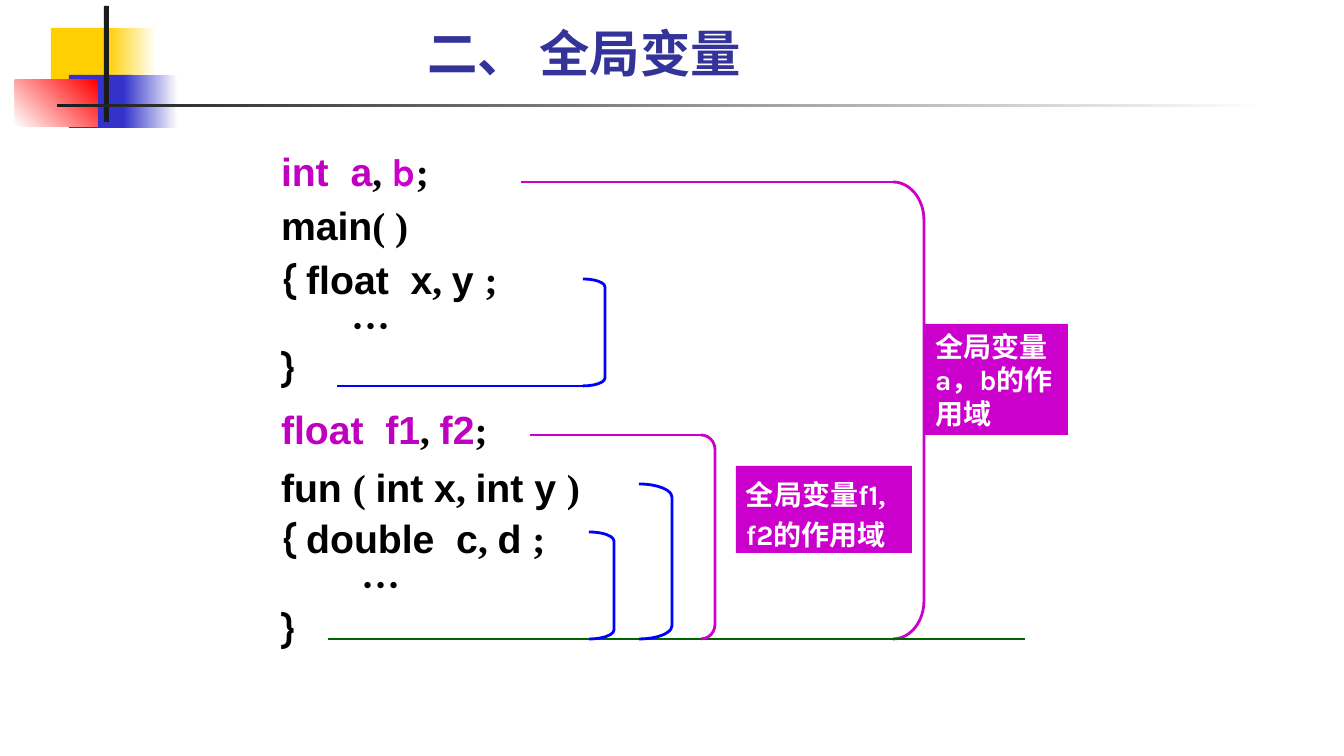
from lxml import etree
from pptx import Presentation
from pptx import util as u
from pptx.dml.color import RGBColor
from pptx.enum import shapes as sh, text as tx
from pptx.oxml.ns import qn

PX = 914400 / 100.8
INK = {"gold": "FFCF01", "blue": "3333CC", "red": "FF0000", "dark": "1C1C1C",
       "white": "FFFFFF", "head": "333399", "black": "000000", "plum": "C000C0",
       "pink": "CC00CC", "green": "006600", "vivid": "0000FF"}
A, T, K, N = "Arial", "Times New Roman", "Karla", "Noto Sans CJK SC"
CODE = [
    (29, 0.95, 0, [("int  a", A, "plum"), (", ", T), ("b", K, "pink"), (";", T)]),
    (29, 0.95, 6.7, [("main", A), ("( )", T)]),
    (29, 0.95, 6.7, [("{ ", K), ("float  x", A), (", ", T), ("y ", A), (";", T)]),
    (99, 0.95, 0, [("···", T)]),
    (29, 0.9, 0, [("}", K)]),
    (29, 1.1, 6.7, [("float  f1", A, "plum"), (", ", T), ("f2", A, "plum"), (";", T)]),
    (29, 1.1, 5, [("fun ", A), ("( ", T), ("int x", A), (", ", T), ("int y ", A), (")", T)]),
    (29, 0.95, 5, [("{ ", K), ("double  c", A), (", ", T), ("d ", A), (";", T)]),
    (109, 0.95, 0, [("···", T)]),
    (29, 0.95, 0, [("}", K)]),
]


def px(n):
    """Turn pixels into EMU."""
    return u.Emu(round(n * PX))


def rgb(name):
    """Look up a colour."""
    return RGBColor.from_string(INK[name])


def place(item, box):
    """Move an item to a box of left, top, width, height."""
    item.left, item.top, item.width, item.height = map(px, box)


def style(run, size, face, ink):
    """Format a bold run, with one face for all scripts."""
    font = run.font
    font.size, font.bold, font.name = u.Pt(size), True, face
    font.color.rgb = rgb(ink)
    etree.SubElement(run._r.rPr, qn("a:ea")).set("typeface", face)


def write(para, parts, size, base):
    """Add runs of (text, face, ink) to a paragraph."""
    for word, face, *ink in parts:
        run = para.add_run()
        run.text = word
        style(run, size, face, ink[0] if ink else base)


def frame(item, anchor):
    """Set wrapping, margins and anchor of a text frame."""
    tf = item.text_frame
    tf.word_wrap, tf.auto_size = True, tx.MSO_AUTO_SIZE.NONE
    tf.vertical_anchor = anchor
    tf.margin_left = tf.margin_right = px(10)
    tf.margin_top = tf.margin_bottom = px(5)
    return tf


def block(slide, box, ink, end=None, angle=0):
    """Draw a rectangle, plain or fading from ink to end."""
    item = slide.shapes.add_shape(sh.MSO_SHAPE.RECTANGLE, *map(px, box))
    item.shadow.inherit = False
    item.line.fill.background()
    if end:
        item.fill.gradient()
        item.fill.gradient_angle = angle
        for stop, tone in zip(item.fill.gradient_stops, (ink, end)):
            stop.color.rgb = rgb(tone)
    else:
        item.fill.solid()
        item.fill.fore_color.rgb = rgb(ink)
    return item


def rule(slide, x, y, end, ink):
    """Draw a horizontal line."""
    item = slide.shapes.add_connector(sh.MSO_CONNECTOR.STRAIGHT, px(x), px(y), px(end), px(y))
    item.line.color.rgb, item.line.width = rgb(ink), u.Pt(2)
    etree.SubElement(item._element.spPr, qn("a:effectLst"))


def brace(slide, box, curve, ink):
    """Draw a right bracket around a scope."""
    item = slide.shapes.add_shape(sh.MSO_SHAPE.RIGHT_BRACKET, *map(px, box))
    item.shadow.inherit = False
    item.fill.background()
    item.line.color.rgb, item.line.width = rgb(ink), u.Pt(2)
    item.adjustments[0] = curve


def label(slide, box, parts, pitch):
    """Draw a pink label with white text."""
    tf = frame(block(slide, box, "pink"), tx.MSO_ANCHOR.TOP)
    para = tf.paragraphs[0]
    para.alignment, para.line_spacing = tx.PP_ALIGN.LEFT, pitch
    write(para, parts, 20, "white")


def decor(slide, x, y):
    """Draw the corner squares and the heading rule."""
    block(slide, (x + 36, y + 22, 65, 52), "gold")
    block(slide, (x + 92, y + 22, 49, 52), "gold", "white")
    block(slide, (x + 54, y + 69, 63, 53), "blue")
    block(slide, (x + 108, y + 69, 55, 53), "blue", "white")
    block(slide, (x, y + 74, 83, 47), "white", "red", 45)
    block(slide, (x + 89, y, 5, 116), "dark")
    block(slide, (x + 42, y + 98, 1210, 3), "dark", "white")


def title(slide, box):
    """Fill the title placeholder."""
    item = slide.shapes.title
    place(item, box)
    tf = frame(item, tx.MSO_ANCHOR.BOTTOM)
    tf.text = "二、 全局变量"
    para = tf.paragraphs[0]
    para.alignment = tx.PP_ALIGN.LEFT
    style(para.runs[0], 36, N, "head")


def code(slide, box):
    """Fill the body placeholder with the code lines."""
    item = slide.placeholders[1]
    place(item, box)
    tf = frame(item, tx.MSO_ANCHOR.TOP)
    for i, (left, pitch, gap, parts) in enumerate(CODE):
        para = tf.add_paragraph() if i else tf.paragraphs[0]
        props = para._p.get_or_add_pPr()
        props.set("marL", str(px(left)))
        props.set("indent", "0")
        etree.SubElement(props, qn("a:buNone"))
        para.alignment = tx.PP_ALIGN.LEFT
        para.line_spacing, para.space_before = pitch, u.Pt(gap)
        write(para, parts, 28, "black")


def scopes(slide, x, y):
    """Draw the lines, brackets and labels of all scopes."""
    base = y + 457
    label(slide, (x + 404, y + 142, 143, 111),
          [("全局变量", N), ("a，b", K), ("的作用域", N)], 1)
    brace(slide, (x + 372, y, 31, 457), 1.23, "pink")
    rule(slide, x, y, x + 372, "pink")
    label(slide, (x + 215, y + 284, 176, 87),
          [("全局变量", N), ("f1", K), (", ", T), ("f2", K), ("的作用域", N)], 1.2)
    rule(slide, x - 193, base, x + 504, "green")
    brace(slide, (x + 118, y + 302, 33, 155), 0.4, "vivid")
    brace(slide, (x + 68, y + 350, 25, 107), 0.36, "vivid")
    brace(slide, (x + 180, y + 253, 14, 204), 1.04, "pink")
    rule(slide, x + 9, y + 253, x + 180, "pink")
    brace(slide, (x + 62, y + 97, 22, 107), 0.36, "vivid")
    rule(slide, x - 184, y + 204, x + 70, "vivid")


def main():
    """Build the slide and save it."""
    deck = Presentation()
    deck.slide_width, deck.slide_height = px(1344), px(756)
    slide = deck.slides.add_slide(deck.slide_layouts[1])
    decor(slide, 15, 6)
    title(slide, (417, 3, 561, 85))
    code(slide, (242, 146, 852, 528))
    scopes(slide, 521, 182)
    deck.save("out.pptx")


if __name__ == "__main__":
    main()
